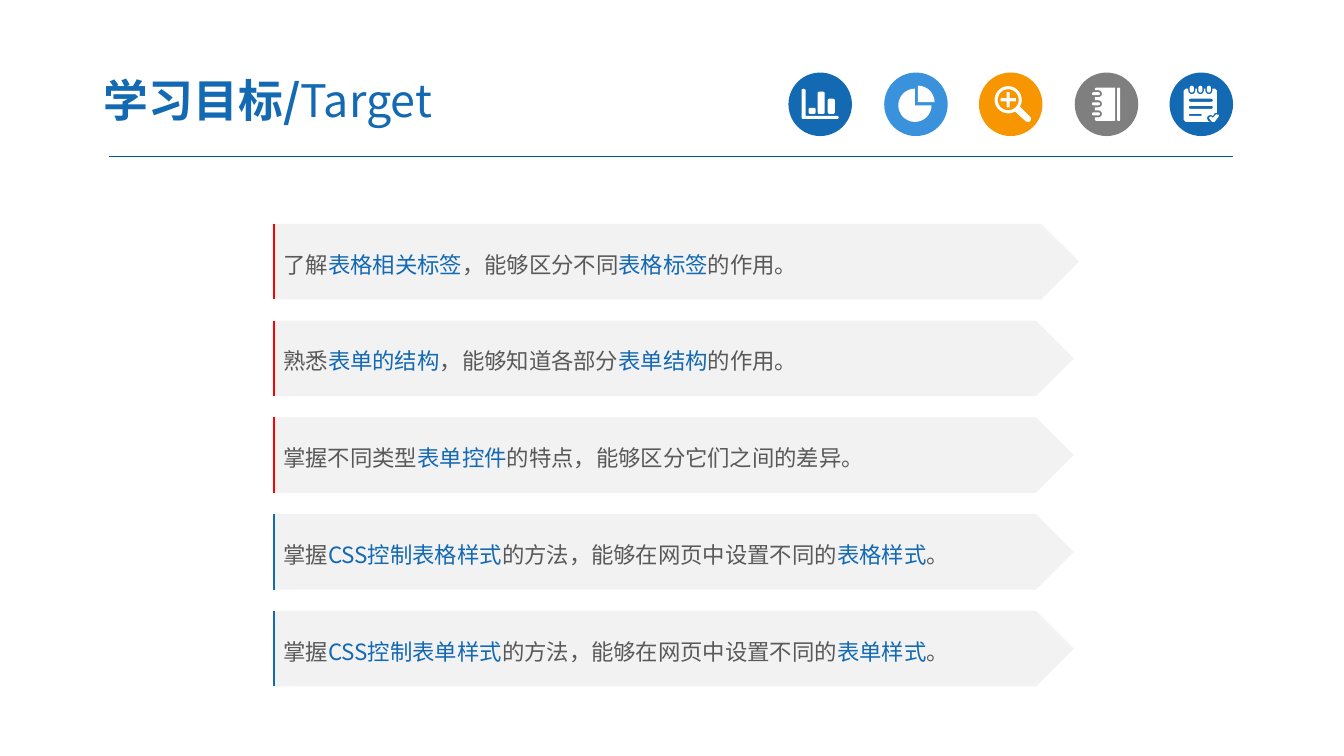
from dataclasses import dataclass
from math import cos, radians, sin

from lxml import etree
from pptx import Presentation
from pptx.dml.color import RGBColor
from pptx.enum.shapes import MSO_CONNECTOR, MSO_SHAPE
from pptx.enum.text import MSO_ANCHOR, MSO_AUTO_SIZE, PP_ALIGN
from pptx.oxml.ns import qn
from pptx.util import Pt

PX = 9144
FINE = 10
STRAIGHT = MSO_CONNECTOR.STRAIGHT
DISC = MSO_SHAPE.OVAL
ARROW = MSO_SHAPE.PENTAGON
MIDDLE = MSO_ANCHOR.MIDDLE
LEFT = PP_ALIGN.LEFT
NO_FIT = MSO_AUTO_SIZE.NONE


@dataclass(frozen=True)
class Theme:
    font: str = "Noto Sans CJK SC"
    title_size: int = 32
    body_size: int = 16
    blue: str = "1369B2"
    sky: str = "3992DB"
    orange: str = "F79600"
    grey: str = "7F7F7F"
    white: str = "FFFFFF"
    panel: str = "F2F2F2"
    ink: str = "595959"
    red: str = "FF0000"
    rule: str = "005B9E"


class SlideBuilder:
    def __init__(self, page, theme):
        self.page = page
        self.theme = theme
        self.shapes = page.shapes

    def open_group(self):
        self.shapes = self.page.shapes.add_group_shape().shapes

    def paint(self, item, color):
        item.shadow.inherit = False
        item.fill.solid()
        item.fill.fore_color.rgb = RGBColor.from_string(color)
        item.line.fill.background()
        return item

    def shape(self, kind, box, color):
        return self.paint(self.shapes.add_shape(kind, *(n * PX for n in box)), color)

    def glyph(self, left, top, contours, color):
        placed = [[((left + x) * FINE, (top + y) * FINE) for x, y in points] for points in contours]
        pen = self.shapes.build_freeform(*placed[0][0], scale=PX / FINE)
        for index, points in enumerate(placed):
            if index:
                pen.move_to(*points[0])
            pen.add_line_segments(points[1:], close=True)
        self.paint(pen.convert_to_shape(), color)

    def accent(self, left, top, height, color):
        pen = self.shapes.build_freeform(left, top + height, scale=PX)
        pen.add_line_segments([(left, top)], close=False)
        pen.move_to(left + 12, top)
        item = pen.convert_to_shape()
        item.shadow.inherit = False
        item.fill.background()
        item.line.color.rgb = RGBColor.from_string(color)
        item.line.width = Pt(1.5)

    def line(self, start, end, color, width):
        item = self.shapes.add_connector(STRAIGHT, *(n * PX for n in start + end))
        item.line.color.rgb = RGBColor.from_string(color)
        item.line.width = Pt(width)
        etree.SubElement(item._element.spPr, qn("a:effectLst"))

    def text(self, frame, spans, size, margins, spacing):
        formats = {"word_wrap": True, "auto_size": NO_FIT, "vertical_anchor": MIDDLE}
        sides = ("margin_left", "margin_top", "margin_right", "margin_bottom")
        formats.update(zip(sides, (n * PX for n in margins)))
        for name, value in formats.items():
            setattr(frame, name, value)
        para = frame.paragraphs[0]
        for name, value in {"alignment": LEFT, "line_spacing": spacing, "space_before": Pt(0)}.items():
            setattr(para, name, value)
        for words, color, bold in spans:
            span = para.add_run()
            span.text = words
            span.font.color.rgb = RGBColor.from_string(color)
            for name, value in {"name": self.theme.font, "size": Pt(size), "bold": bold}.items():
                setattr(span.font, name, value)
            etree.SubElement(span._r.get_or_add_rPr(), qn("a:ea"), typeface=self.theme.font)

    def title(self, box, spans):
        holder = self.page.shapes.title
        for name, value in zip(("left", "top", "width", "height"), box):
            setattr(holder, name, value * PX)
        self.text(holder.text_frame, spans, self.theme.title_size, (14, 7, 13, 7), 1.0)

    def icon(self, left, top, color, contours):
        self.open_group()
        self.shape(DISC, (left, top, 63, 63), color)
        self.glyph(left, top, contours, self.theme.white)

    def goal(self, top, width, color, spans):
        self.open_group()
        panel = self.shape(ARROW, (272, top, width, 75), self.theme.panel)
        colors = (self.theme.ink, self.theme.blue)
        colored = [(words, colors[i % 2], False) for i, words in enumerate(spans)]
        self.text(panel.text_frame, colored, self.theme.body_size, (9, 5, 10, 5), 1.2)
        self.accent(272, top, 75, color)


def arc(x, y, radius, start, end, steps):
    angles = [radians(start + (end - start) * i / steps) for i in range(steps + 1)]
    return [(x + radius * cos(angle), y + radius * sin(angle)) for angle in angles]


def bar(x, y, width, height, radius=1.5):
    right, bottom = x + width - radius, y + height - radius
    centres = [(right, bottom), (x + radius, bottom), (x + radius, y + radius), (right, y + radius)]
    return [point for i, (cx, cy) in enumerate(centres) for point in arc(cx, cy, radius, 90 * i, 90 * i + 90, 2)]


def chart_glyph():
    axis = [(13, 17), (15, 16), (17, 17), (17, 43), (49, 43), (50, 44.5), (49, 46), (14, 46), (13, 45)]
    return [axis, bar(20, 35, 7, 6), bar(29, 19, 7, 22), bar(39, 26, 7, 15)]


def pie_glyph():
    return [[(30.5, 32.5)] + arc(30.5, 32.5, 16.5, 0, 270, 24), [(33.5, 29.5)] + arc(33.5, 29.5, 16.5, -90, 0, 8)]


def lens_glyph():
    handle = [(50, 43), (51.5, 45), (51.5, 47), (50, 49), (48, 49), (46, 48)]
    plus = [
        (21.5, 25.5), (27.5, 25.5), (27.5, 19.5), (30.5, 19.5), (30.5, 25.5), (36.5, 25.5),
        (36.5, 28.5), (30.5, 28.5), (30.5, 34.5), (27.5, 34.5), (27.5, 28.5), (21.5, 28.5),
    ]
    return [arc(29, 27, 13.5, 60, 390, 24) + handle, arc(29, 27, 10.5, 0, 345, 23), plus]


def notebook_glyph():
    cover = [(21, 15), (40, 15), (40, 48), (21, 48), (20, 47)]
    rings = []
    for y in (41, 31, 21):
        cover += [(20, y + 3.5)] + arc(23.5, y, 3.5, 90, -90, 6) + [(20, y - 3.5)]
        rings.append(bar(17, y - 1.5, 8, 3))
    return [cover + [(20, 16)], bar(42, 15, 3, 33, 1)] + rings


def notepad_glyph():
    sheet, pins = [(14, 18), (16, 16)], []
    for x in (22, 30.5, 39):
        sheet += [(x - 3.5, 16)] + arc(x, 18, 3.5, 180, 0, 6) + [(x + 3.5, 16)]
        pins.append(bar(x - 2, 13, 4, 7, 2))
    sheet += [(45, 16), (47, 18), (47, 40), (45, 40), (43, 43), (41, 42), (38, 43), (37, 45), (38, 48), (40, 49)]
    check = [(39, 45), (41, 43.5), (43, 45), (46, 41.5), (49, 42), (48.5, 44), (44.5, 49), (42, 49)]
    rows = [bar(19, 26, 24, 3), bar(19, 33, 24, 3), bar(19, 41, 13, 2, 1)]
    return [sheet + [(16, 49), (14, 47)], check] + rows + pins


GOALS = [
    ("了解", "表格相关标签", "，能够区分不同", "表格标签", "的作用。"),
    ("熟悉", "表单的结构", "，能够知道各部分", "表单结构", "的作用。"),
    ("掌握不同类型", "表单控件", "的特点，能够区分它们之间的差异。"),
    ("掌握", "CSS控制表格样式", "的方法，能够在网页中设置不同的", "表格样式", "。"),
    ("掌握", "CSS控制表单样式", "的方法，能够在网页中设置不同的", "表单样式", "。"),
]


def main():
    deck = Presentation()
    deck.slide_width, deck.slide_height = 1333 * PX, 750 * PX
    theme = Theme()
    builder = SlideBuilder(deck.slides.add_slide(deck.slide_layouts[5]), theme)
    builder.title((89, 63, 522, 72), [("学习目标/", theme.blue, True), ("Target", theme.blue, False)])
    builder.line((108, 155), (1223, 155), theme.rule, 0.75)
    icons = [
        (theme.blue, chart_glyph()),
        (theme.sky, pie_glyph()),
        (theme.orange, lens_glyph()),
        (theme.grey, notebook_glyph()),
        (theme.blue, notepad_glyph()),
    ]
    for index, (color, contours) in enumerate(icons):
        builder.icon(782 + (189 * index + 1) // 2, 72, color, contours)
    for index, spans in enumerate(GOALS):
        color = theme.red if index < 3 else theme.blue
        builder.goal(222 + 96 * index, 793 if index else 798, color, spans)
    deck.save("out.pptx")


if __name__ == "__main__":
    main()
